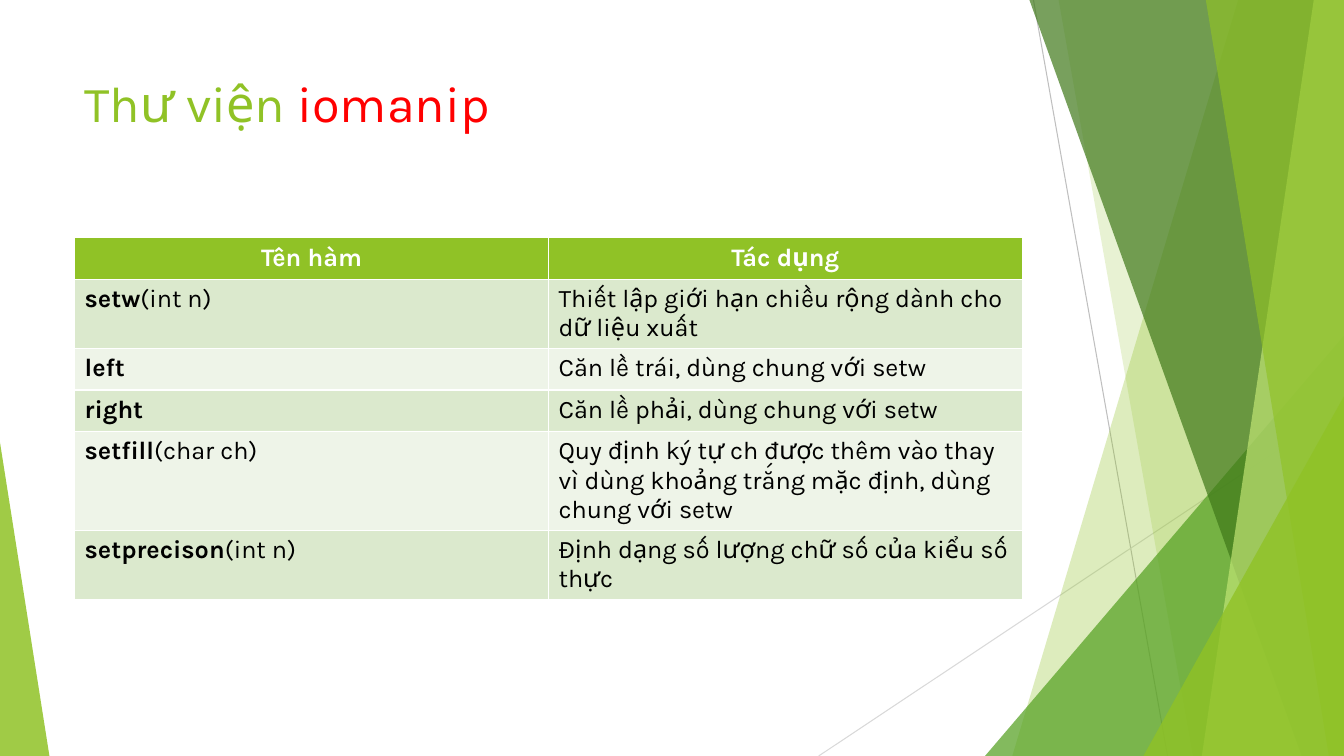
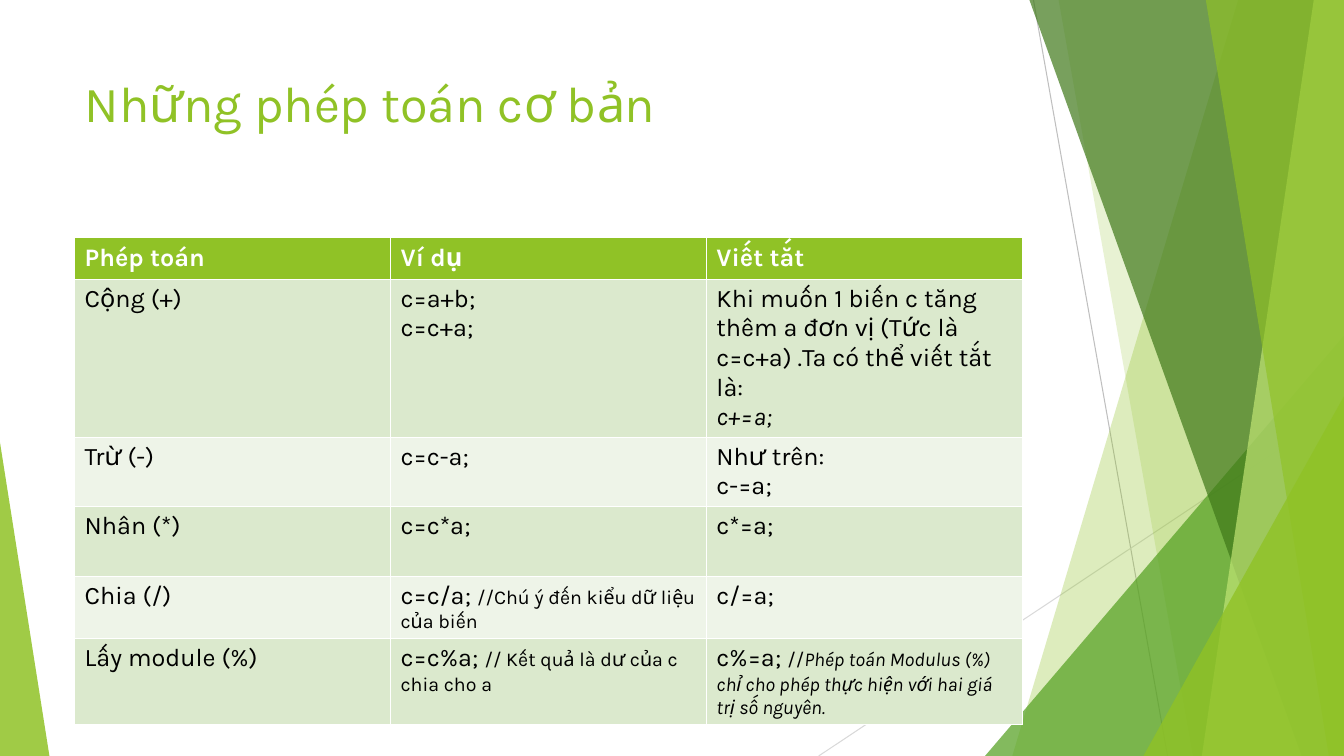
"""Build two slides on C++ library functions and basic operators."""
from dataclasses import dataclass

from lxml import etree
from pptx import Presentation
from pptx import util as u
from pptx.dml.color import RGBColor
from pptx.enum import shapes, text
from pptx.oxml import ns

FONT = "Karla"
WIDTH, HEIGHT = 13.33, 7.5
LEFT, CONTENT_WIDTH = 0.74, 9.4
COLORS = {
    "green": "90C226", "leaf": "54A021", "forest": "3F7819", "lime": "C0E474",
    "red": "FF0000", "white": "FFFFFF", "black": "000000",
    "band_dark": "DBE9CD", "band_light": "EEF4E8",
    "line_dark": "BFBFBF", "line_light": "D9D9D9",
}


@dataclass(frozen=True)
class Span:
    text: str
    bold: bool = False
    italic: bool = False
    size: int = 18
    color: str = "black"


@dataclass(frozen=True)
class Ray:
    start: tuple[float, float]
    end: tuple[float, float]
    color: str


@dataclass(frozen=True)
class Blade:
    top_x: float
    bottom_x: float
    color: str
    opacity: int


@dataclass(frozen=True)
class Triangle:
    left: float
    top: float
    width: float
    apex: int
    color: str
    opacity: int


Cell = list[list[Span]]


@dataclass(frozen=True)
class TablePage:
    title: list[Span]
    header: list[str]
    header_align: text.PP_ALIGN
    rows: list[list[Cell]]
    heights: list[float]


DECORATION = [
    Ray((10.25, 0), (11.58, HEIGHT), "line_dark"),
    Ray((WIDTH, 4.03), (8.12, HEIGHT), "line_light"),
    Blade(12.28, 10.04, "green", 30),
    Blade(10.5, 11.83, "green", 20),
    Triangle(9.77, 3.33, 3.56, 1, "leaf", 72),
    Blade(10.21, 12.91, "forest", 70),
    Blade(13.03, 11.92, "lime", 70),
    Blade(11.96, 13.18, "green", 65),
    Triangle(11.34, 3.93, 1.99, 1, "green", 80),
    Triangle(0, 4.39, 0.49, 0, "green", 85),
]


def rgb(name: str) -> RGBColor:
    return RGBColor.from_string(COLORS[name])


def plain(*lines: str) -> Cell:
    return [[Span(line)] for line in lines]


def function(name: str, arguments: str = "") -> Cell:
    spans = [Span(name, bold=True)]
    return [spans + [Span(arguments)] if arguments else spans]


def noted(code: str, *notes: Span) -> Cell:
    return [[Span(code), *notes]]


def title_span(words: str, color: str = "green") -> Span:
    return Span(words, size=36, color=color)


def write(frame, paragraphs: Cell, align: text.PP_ALIGN = text.PP_ALIGN.LEFT) -> None:
    for index, spans in enumerate(paragraphs):
        para = frame.add_paragraph() if index else frame.paragraphs[0]
        para.alignment = align
        for span in spans:
            run = para.add_run()
            run.text = span.text
            run.font.name = FONT
            run.font.size = u.Pt(span.size)
            run.font.bold = span.bold
            run.font.italic = span.italic
            run.font.color.rgb = rgb(span.color)


def paint(shape, color: str, opacity: int) -> None:
    shape.shadow.inherit = False
    shape.line.fill.background()
    shape.fill.solid()
    shape.fill.fore_color.rgb = rgb(color)
    tint = shape.element.xpath("./p:spPr/a:solidFill/a:srgbClr")[0]
    etree.SubElement(tint, ns.qn("a:alpha"), val=str(opacity * 1000))


def draw_ray(group, ray: Ray) -> None:
    line = group.shapes.add_connector(
        shapes.MSO_CONNECTOR.STRAIGHT, *map(u.Inches, ray.start + ray.end))
    line.line.color.rgb = rgb(ray.color)
    line.line.width = u.Pt(0.75)
    etree.SubElement(line.element.spPr, ns.qn("a:effectLst"))


def draw_blade(group, blade: Blade) -> None:
    corners = [(WIDTH, 0), (WIDTH, HEIGHT), (blade.bottom_x, HEIGHT)]
    builder = group.shapes.build_freeform(u.Inches(blade.top_x), u.Inches(0))
    builder.add_line_segments([(u.Inches(x), u.Inches(y)) for x, y in corners])
    paint(builder.convert_to_shape(), blade.color, blade.opacity)


def draw_triangle(group, triangle: Triangle) -> None:
    shape = group.shapes.add_shape(
        shapes.MSO_SHAPE.ISOSCELES_TRIANGLE,
        u.Inches(triangle.left), u.Inches(triangle.top),
        u.Inches(triangle.width), u.Inches(HEIGHT - triangle.top))
    shape.adjustments[0] = triangle.apex
    paint(shape, triangle.color, triangle.opacity)


def decorate_layout(layout, page) -> None:
    painters = {Ray: draw_ray, Blade: draw_blade, Triangle: draw_triangle}
    group = page.shapes.add_group_shape()
    for item in DECORATION:
        painters[type(item)](group, item)
    for number, properties in enumerate(group.element.xpath(".//p:cNvPr"), 100):
        properties.set("id", str(number))
    layout.shapes.element.append(group.element)


def add_title(page, spans: list[Span]) -> None:
    title = page.shapes.title
    title.left, title.top = u.Inches(LEFT), u.Inches(0.67)
    title.width, title.height = u.Inches(CONTENT_WIDTH), u.Inches(1.44)
    title.text_frame.vertical_anchor = text.MSO_ANCHOR.TOP
    write(title.text_frame, [spans])


def add_table(page, content: TablePage) -> None:
    header = [[[Span(label, bold=True, color="white")]] for label in content.header]
    rows = [header, *content.rows]
    table = page.shapes.add_table(
        len(rows), len(header), u.Inches(LEFT), u.Inches(2.36),
        u.Inches(CONTENT_WIDTH), u.Inches(sum(content.heights))).table
    for column in table.columns:
        column.width = u.Inches(CONTENT_WIDTH / len(header))
    for index, (cells, height) in enumerate(zip(rows, content.heights)):
        table.rows[index].height = u.Inches(height)
        band = "band_dark" if index % 2 else "band_light"
        align = text.PP_ALIGN.LEFT if index else content.header_align
        for cell, paragraphs in zip(table.rows[index].cells, cells):
            cell.fill.solid()
            cell.fill.fore_color.rgb = rgb(band if index else "green")
            write(cell.text_frame, paragraphs, align)


PAGES = [
    TablePage(
        title=[title_span("Thư viện "), title_span("iomanip", "red")],
        header=["Tên hàm", "Tác dụng"],
        header_align=text.PP_ALIGN.CENTER,
        rows=[
            [function("setw", "(int n)"),
             plain("Thiết lập giới hạn chiều rộng dành cho dữ liệu xuất")],
            [function("left"), plain("Căn lề trái, dùng chung với setw")],
            [function("right"), plain("Căn lề phải, dùng chung với setw")],
            [function("setfill", "(char ch)"),
             plain("Quy định ký tự ch được thêm vào thay vì dùng khoảng trắng "
                   "mặc định, dùng chung với setw")],
            [function("setprecison", "(int n)"),
             plain("Định dạng số lượng chữ số của kiểu số thực")],
        ],
        heights=[0.41, 0.69, 0.41, 0.41, 0.97, 0.69],
    ),
    TablePage(
        title=[title_span("Những phép toán cơ bản")],
        header=["Phép toán", "Ví dụ", "Viết tắt"],
        header_align=text.PP_ALIGN.LEFT,
        rows=[
            [plain("Cộng (+)"), plain("c=a+b;", "c=c+a;"),
             [[Span("Khi muốn 1 biến c tăng thêm a đơn vị (Tức là c=c+a) "
                    ".Ta có thể viết tắt là:")],
              [Span("c+=a;", italic=True)]]],
            [plain("Trừ (-)"), plain("c=c-a;"), plain("Như trên:", "c-=a;")],
            [plain("Nhân (*)"), plain("c=c*a;"), plain("c*=a;")],
            [plain("Chia (/)"),
             noted("c=c/a; ", Span("//Chú ý đến kiểu dữ liệu của biến", size=14)),
             plain("c/=a;")],
            [plain("Lấy module (%)"),
             noted("c=c%a; ", Span("// Kết quả là dư của c chia cho a", size=14)),
             noted("c%=a; ", Span("//", size=14),
                   Span("Phép toán Modulus (%) chỉ cho phép thực hiện với hai "
                        "giá trị số nguyên.", italic=True, size=14))],
        ],
        heights=[0.41, 1.56, 0.69, 0.69, 0.62, 0.85],
    ),
]


def main() -> None:
    deck = Presentation()
    deck.slide_width, deck.slide_height = u.Inches(WIDTH), u.Inches(HEIGHT)
    layout = deck.slide_layouts.get_by_name("Title Only")
    for index, content in enumerate(PAGES):
        page = deck.slides.add_slide(layout)
        if index == 0:
            decorate_layout(layout, page)
        add_title(page, content.title)
        add_table(page, content)
    deck.save("out.pptx")


if __name__ == "__main__":
    main()
